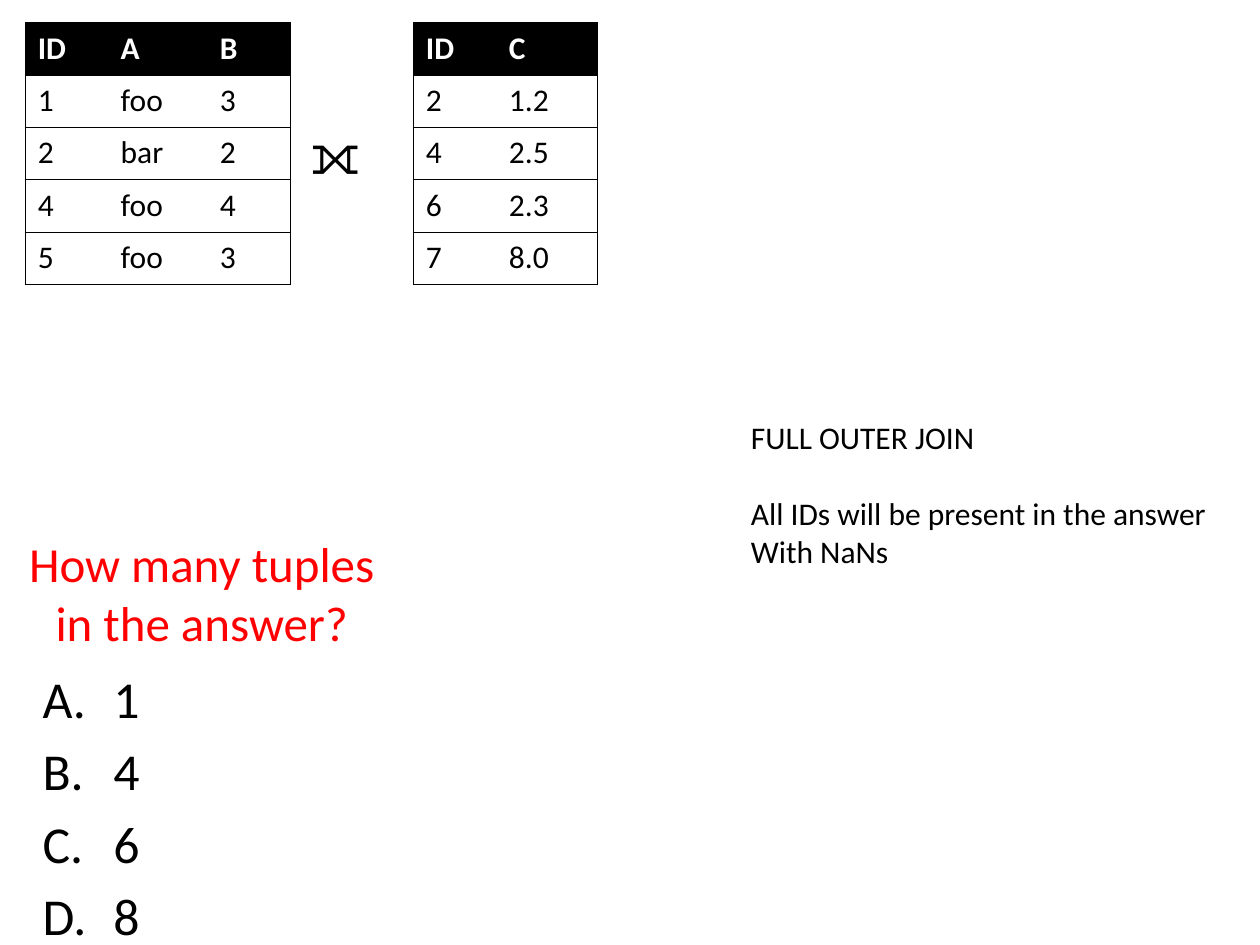
from dataclasses import dataclass

from pptx import Presentation
from pptx import util as u
from pptx.dml.color import RGBColor
from pptx.enum import text
from pptx.oxml.ns import qn
from lxml import etree

FONT = "Calibri"
COLOURS = {"black": "000000", "white": "FFFFFF", "red": "FF0000"}
TITLE_ONLY = 5
ROW_HEIGHT = 29.95
BORDER_WIDTH = 0.75


@dataclass
class Relation:
    left: float
    top: float
    widths: list[float]
    rows: list[list[str]]


@dataclass
class Box:
    left: float
    top: float
    width: float
    height: float

    def lengths(self) -> list[u.Length]:
        return [u.Pt(n) for n in (self.left, self.top, self.width, self.height)]


RELATIONS = [
    Relation(14.4, 13, [47.4, 56.6, 47.4], [
        ["ID", "A", "B"],
        ["1", "foo", "3"],
        ["2", "bar", "2"],
        ["4", "foo", "4"],
        ["5", "foo", "3"],
    ]),
    Relation(236.2, 13, [47.4, 57.6], [
        ["ID", "C"],
        ["2", "1.2"],
        ["4", "2.5"],
        ["6", "2.3"],
        ["7", "8.0"],
    ]),
]


def write(paragraph, words: str, *, size: float, colour: str = "black",
          bold: bool = False, align=None, before: float = 0) -> None:
    """Put formatted text into a paragraph."""
    paragraph.alignment = align
    paragraph.space_before = u.Pt(before)
    run = paragraph.add_run()
    run.text = words
    run.font.name = FONT
    run.font.size = u.Pt(size)
    run.font.bold = bold
    run.font.color.rgb = RGBColor.from_string(COLOURS[colour])


def add_box(slide, box: Box, *, wrap: bool = True):
    """Add a text box and return its text frame."""
    frame = slide.shapes.add_textbox(*box.lengths()).text_frame
    frame.word_wrap = wrap
    return frame


def next_paragraph(frame, index: int):
    return frame.add_paragraph() if index else frame.paragraphs[0]


def set_borders(cell, visible: set[str]) -> None:
    """Draw the named sides of a cell and clear the others."""
    properties = cell._tc.get_or_add_tcPr()
    for side in ("lnL", "lnR", "lnT", "lnB"):
        line = etree.SubElement(properties, qn(f"a:{side}"), w=str(u.Pt(BORDER_WIDTH)))
        if side in visible:
            fill = etree.SubElement(line, qn("a:solidFill"))
            etree.SubElement(fill, qn("a:srgbClr"), val=COLOURS["black"])
        else:
            etree.SubElement(line, qn("a:noFill"))


def add_relation(slide, relation: Relation) -> None:
    row_count, column_count = len(relation.rows), len(relation.widths)
    box = Box(relation.left, relation.top, sum(relation.widths), row_count * ROW_HEIGHT)
    table = slide.shapes.add_table(row_count, column_count, *box.lengths()).table
    table.horz_banding = False
    for column, width in zip(table.columns, relation.widths):
        column.width = u.Pt(width)
    for r, values in enumerate(relation.rows):
        table.rows[r].height = u.Pt(ROW_HEIGHT)
        header = r == 0
        for c, value in enumerate(values):
            cell = table.cell(r, c)
            visible = {"lnT", "lnB"}
            if c == 0:
                visible.add("lnL")
            if c == column_count - 1:
                visible.add("lnR")
            set_borders(cell, visible)
            if header:
                cell.fill.solid()
                cell.fill.fore_color.rgb = RGBColor.from_string(COLOURS["black"])
            else:
                cell.fill.background()
            write(cell.text_frame.paragraphs[0], value, size=18, bold=header,
                  colour="white" if header else "black")


def add_choices(slide, box: Box, choices: list[str]) -> None:
    """Add answers lettered A., B., C. and so on."""
    frame = add_box(slide, box)
    for index, choice in enumerate(choices):
        paragraph = next_paragraph(frame, index)
        properties = paragraph._p.get_or_add_pPr()
        properties.set("marL", str(u.Pt(40.5)))
        properties.set("indent", str(u.Pt(-40.5)))
        etree.SubElement(properties, qn("a:buFont"), typeface="+mj-lt")
        etree.SubElement(properties, qn("a:buAutoNum"), type="alphaUcPeriod")
        write(paragraph, choice, size=29.6, before=5.9 if index else 0)


def main() -> None:
    presentation = Presentation()
    presentation.slide_width, presentation.slide_height = u.Pt(720), u.Pt(540)
    slide = presentation.slides.add_slide(presentation.slide_layouts[TITLE_ONLY])

    # Question and its choices
    title = slide.shapes.title
    title.left, title.top, title.width, title.height = Box(0, 309, 230.4, 59).lengths()
    title.text_frame.vertical_anchor = text.MSO_ANCHOR.MIDDLE
    title.text_frame.auto_size = text.MSO_AUTO_SIZE.NONE
    write(title.text_frame.paragraphs[0], "How many tuples in the answer?",
          size=28, colour="red", align=text.PP_ALIGN.CENTER)
    add_choices(slide, Box(17.3, 377.3, 324, 162.7), ["1", "4", "6", "8"])

    # Joined relations
    for relation in RELATIONS:
        add_relation(slide, relation)
    join_sign = add_box(slide, Box(170.6, 64, 52.6, 46))
    write(join_sign.paragraphs[0], "⟗", size=32)

    # Explanation, with a one-line gap below its heading
    explanation = add_box(slide, Box(422, 235.4, 278, 94.3), wrap=False)
    lines = [("FULL OUTER JOIN", 0),
             ("All IDs will be present in the answer", 21.6),
             ("With NaNs", 0)]
    for index, (words, gap) in enumerate(lines):
        write(next_paragraph(explanation, index), words, size=18, before=gap)

    presentation.save("out.pptx")


if __name__ == "__main__":
    main()
